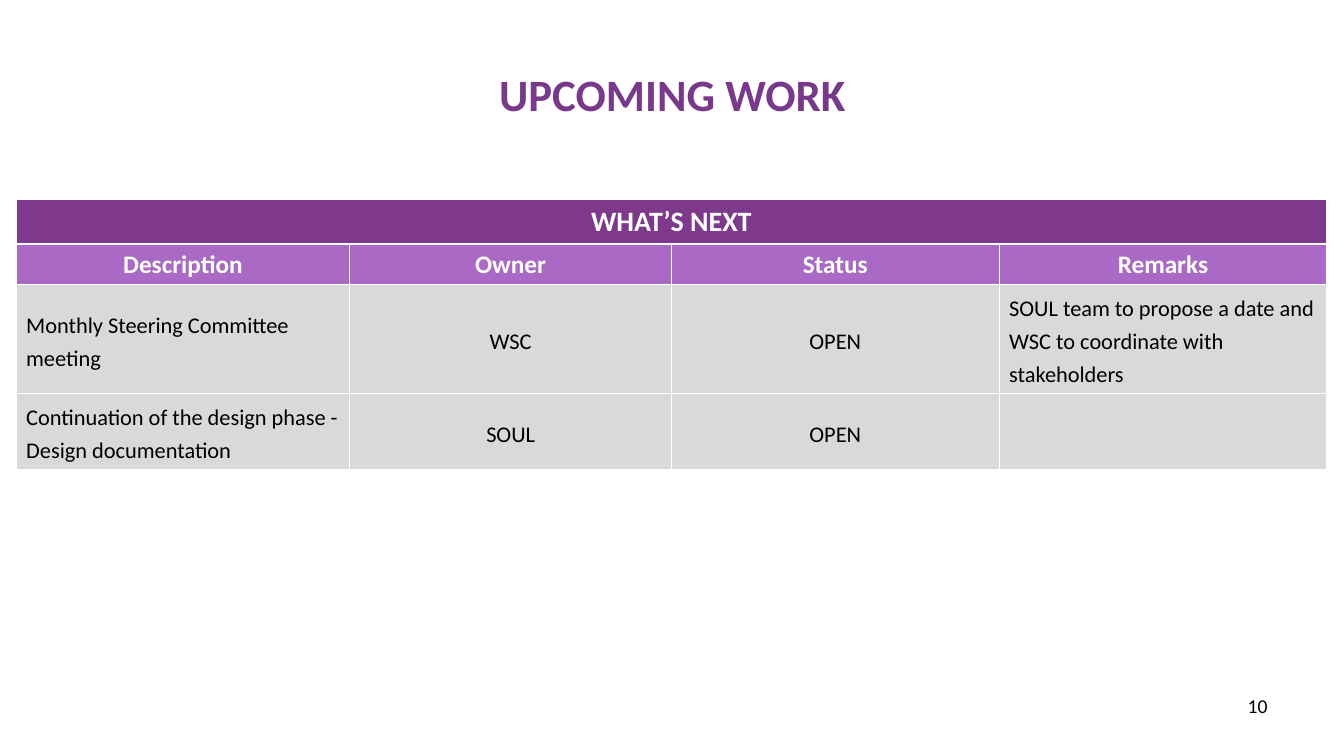
from lxml import etree
from pptx import Presentation
from pptx.dml.color import RGBColor
from pptx.enum import text
from pptx.oxml import ns
from pptx.util import Inches, Pt

TITLE_PURPLE = RGBColor(0x78, 0x39, 0x8D)
DARK_PURPLE = RGBColor(0x7F, 0x39, 0x8C)
LIGHT_PURPLE = RGBColor(0xA9, 0x69, 0xC4)
GRAY = RGBColor(0xD9, 0xD9, 0xD9)
WHITE = RGBColor(0xFF, 0xFF, 0xFF)
BLACK = RGBColor(0, 0, 0)
LEFT, CENTER, RIGHT = text.PP_ALIGN.LEFT, text.PP_ALIGN.CENTER, text.PP_ALIGN.RIGHT
TOP, MIDDLE = text.MSO_ANCHOR.TOP, text.MSO_ANCHOR.MIDDLE

COLUMN_WIDTHS = [3.31, 3.19, 3.25, 3.25]
ROW_HEIGHTS = [0.43, 0.4, 1.08, 0.75]
HEADERS = ["Description", "Owner", "Status", "Remarks"]
TASKS = [
    ["Monthly Steering Committee meeting", "WSC", "OPEN",
     "SOUL team to propose a date and WSC to coordinate with stakeholders"],
    ["Continuation of the design phase - Design documentation", "SOUL", "OPEN", ""],
]


def write(tf, words, size, color, bold=False, align=CENTER):
    tf.text = words
    p = tf.paragraphs[0]
    p.alignment = align
    p.font.size = Pt(size)
    for r in p.runs:
        r.font.name = "Calibri"
        r.font.size = Pt(size)
        r.font.bold = bold
        r.font.color.rgb = color
    return p


def add_title(slide, left, top, width, height):
    sp = slide.shapes.title
    sp.left, sp.top, sp.width, sp.height = map(Inches, (left, top, width, height))
    sp.text_frame.vertical_anchor = MIDDLE
    write(sp.text_frame, "UPCOMING WORK", 32, TITLE_PURPLE, True)


def add_page_number(slide, left, top, width, height):
    sp = slide.shapes.add_textbox(*map(Inches, (left, top, width, height)))
    sp.text_frame.word_wrap = True
    write(sp.text_frame, "10", 14, BLACK, align=RIGHT)


def style_cell(cell, fill, anchor):
    cell.vertical_anchor = anchor
    tcPr = cell._tc.get_or_add_tcPr()
    for side in ("lnL", "lnR", "lnT", "lnB"):
        line = etree.SubElement(tcPr, ns.qn(f"a:{side}"), w=str(Pt(1)))
        solid = etree.SubElement(line, ns.qn("a:solidFill"))
        etree.SubElement(solid, ns.qn("a:srgbClr"), val=str(WHITE))
    cell.fill.solid()
    cell.fill.fore_color.rgb = fill


def add_work_table(slide, left, top, width, height):
    rows = [["WHAT’S NEXT", "", "", ""], HEADERS, *TASKS]
    frame = slide.shapes.add_table(len(rows), len(HEADERS),
                                   *map(Inches, (left, top, width, height)))
    table = frame.table
    for column, column_width in zip(table.columns, COLUMN_WIDTHS):
        column.width = Inches(column_width)
    for row, row_height in zip(table.rows, ROW_HEIGHTS):
        row.height = Inches(row_height)

    for i, values in enumerate(rows):
        for j, value in enumerate(values):
            cell = table.cell(i, j)
            if i < 2:
                style_cell(cell, (DARK_PURPLE, LIGHT_PURPLE)[i], TOP)
                write(cell.text_frame, value, (20, 18)[i], WHITE, True)
            else:
                style_cell(cell, GRAY, MIDDLE)
                align = CENTER if j in (1, 2) else LEFT
                p = write(cell.text_frame, value, 16, BLACK, align=align)
                p.line_spacing = 1.2
    table.cell(0, 0).merge(table.cell(0, len(HEADERS) - 1))


def main():
    prs = Presentation()
    prs.slide_width, prs.slide_height = Inches(13.33), Inches(7.5)
    slide = prs.slides.add_slide(prs.slide_layouts[5])
    add_title(slide, 0.67, 0.3, 12, 1.25)
    add_work_table(slide, 0.16, 1.98, sum(COLUMN_WIDTHS), sum(ROW_HEIGHTS))
    add_page_number(slide, 9.56, 6.83, 3.11, 0.52)
    prs.save("out.pptx")


if __name__ == "__main__":
    main()
